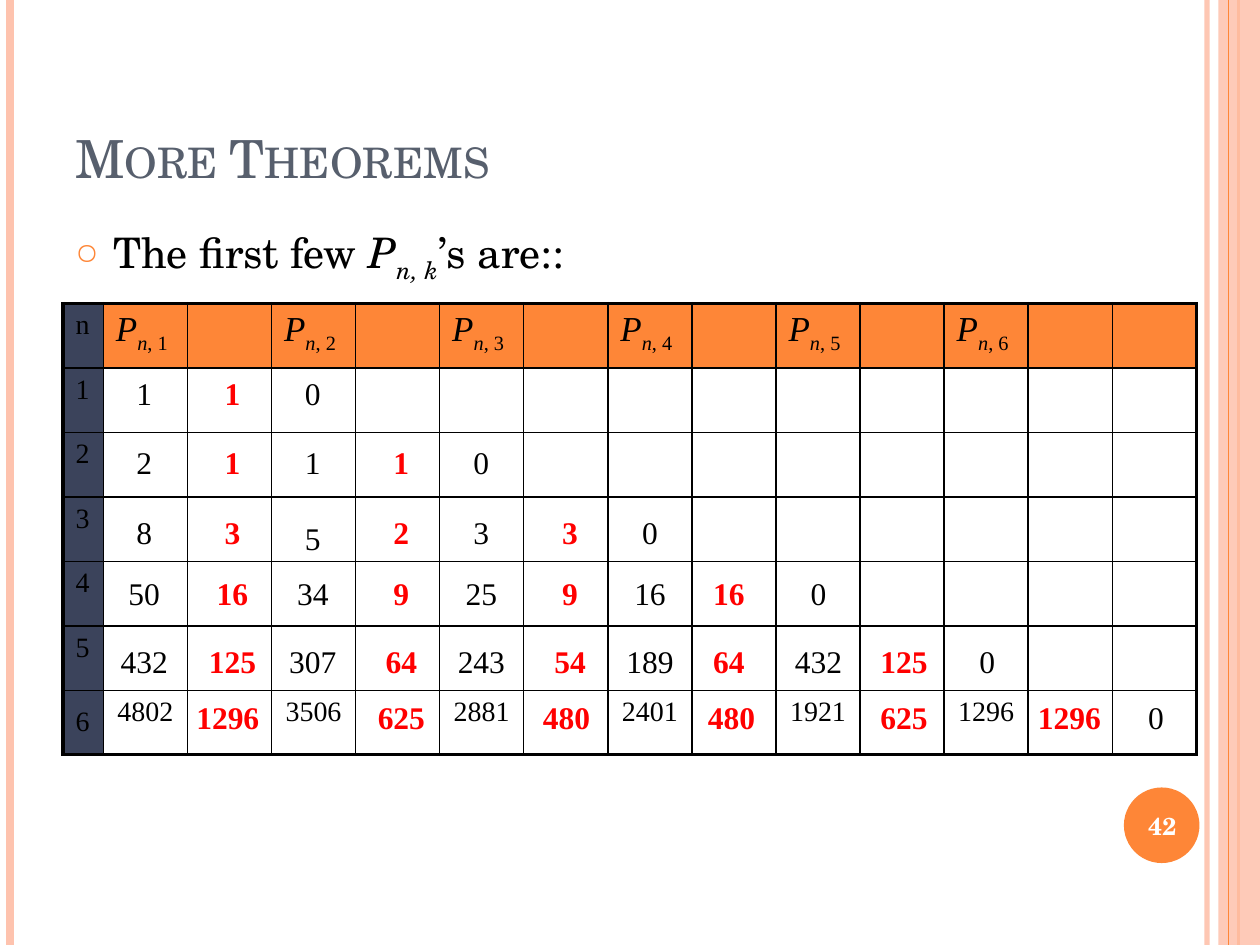
import pptx
import pptx.util
import pptx.dml.color
import pptx.enum.shapes
import pptx.enum.text
import pptx.oxml
import pptx.oxml.ns
from lxml import etree

Inches = pptx.util.Inches
Pt = pptx.util.Pt
qn = pptx.oxml.ns.qn
ALIGN = pptx.enum.text.PP_ALIGN
ANCHOR = pptx.enum.text.MSO_ANCHOR
SHAPE = pptx.enum.shapes.MSO_SHAPE
SERIF = "TeX Gyre Schola"
TIMES = "Times New Roman"
COLORS = {"orange": "FE8637", "peach": "FEC3AE", "slate": "575F6D", "navy": "3B435B",
          "black": "000000", "red": "FF0000", "white": "FFFFFF"}


def paint(fill, color, opacity=100):
    """Make a fill solid, with an optional opacity in percent."""
    fill.solid()
    fill.fore_color.rgb = pptx.dml.color.RGBColor.from_string(COLORS[color])
    if opacity < 100:
        tint = fill._xPr.find(qn("a:solidFill"))[0]
        etree.SubElement(tint, qn("a:alpha"), val=str(opacity * 1000))


def write(frame, text, size=18, font=TIMES, color="black", bold=False, align=ALIGN.LEFT,
          anchor=ANCHOR.TOP, before=0, caps=False):
    """Write text, or (text, italic, subscript) spans, and return the paragraph properties."""
    frame.word_wrap = True
    frame.vertical_anchor = anchor
    para = frame.paragraphs[0]
    para.alignment = align
    for words, italic, subscript in [(text, False, False)] if isinstance(text, str) else text:
        span = para.add_run()
        span.text = words
        span.font.size = Pt(size)
        span.font.name = font
        span.font.bold = bold
        span.font.italic = italic
        paint(span.font.fill, color)
        if subscript:
            span._r.get_or_add_rPr().set("baseline", "-25000")
        if caps:
            span._r.get_or_add_rPr().set("cap", "small")
    properties = para._p.get_or_add_pPr()
    if before:
        spacing = etree.SubElement(properties, qn("a:spcBef"))
        etree.SubElement(spacing, qn("a:spcPct"), val=str(before * 1000))
    return properties


deck = pptx.Presentation()
deck.slide_width, deck.slide_height = Inches(10), Inches(7.5)
page = deck.slides.add_slide(deck.slide_layouts[6])
shapes = page.shapes

# Side bands and the page number disc
for x, color, width, opacity in [(9.58, "peach", 3, 93), (0.08, "peach", 4.5, 100),
                                 (9.83, "orange", 1.5, 100), (9.67, "peach", 0, 87),
                                 (9.75, "orange", 0.75, 100)]:
    if width:
        rule = shapes.add_connector(pptx.enum.shapes.MSO_CONNECTOR.STRAIGHT,
                                    Inches(x), 0, Inches(x), Inches(7.5))
        rule.line.width = Pt(width)
        paint(rule.line.fill, color, opacity)
        etree.SubElement(rule._element.spPr, qn("a:effectLst"))
    else:
        band = shapes.add_shape(SHAPE.RECTANGLE, Inches(x), 0, Inches(0.33), Inches(7.5))
        band.shadow.inherit = False
        band.line.fill.background()
        paint(band.fill, color, opacity)
disc = shapes.add_shape(SHAPE.OVAL, Inches(8.92), Inches(6.25), Inches(0.6), Inches(0.6))
disc.shadow.inherit = False
disc.line.fill.background()
paint(disc.fill, "orange")

# Title, bullet and page number
title = shapes.add_textbox(Inches(0.5), Inches(0.3), Inches(8.17), Inches(1.25))
write(title.text_frame, "More Theorems", size=30, font=SERIF, color="slate",
      anchor=ANCHOR.BOTTOM, caps=True)
body = shapes.add_textbox(Inches(0.5), Inches(1.75), Inches(8.17), Inches(5.33))
bullet = write(body.text_frame, [("The first few ", False, False), ("P", True, False),
                                 ("n, k", True, True), ("\u2019s are::", False, False)],
               size=24, font=SERIF)
body.text_frame.paragraphs[0].space_before = Pt(6)
bullet.set("marL", str(Inches(0.3)))
bullet.set("indent", str(Inches(-0.3)))
etree.SubElement(etree.SubElement(bullet, qn("a:buClr")), qn("a:srgbClr"), val=COLORS["orange"])
etree.SubElement(bullet, qn("a:buSzPct"), val="70000")
etree.SubElement(bullet, qn("a:buChar"), char="\u25cb")
number = shapes.add_textbox(Inches(8.89), Inches(6.27), Inches(0.67), Inches(0.57))
write(number.text_frame, "42", size=14, font=SERIF, color="white", bold=True,
      align=ALIGN.CENTER, anchor=ANCHOR.MIDDLE)

# Table grid with headings, row numbers and the last row of counts
ROWS, COLUMNS = 7, 14
COUNTS = ["4802", "3506", "2881", "2401", "1921", "1296"]
table = shapes.add_table(ROWS, COLUMNS, Inches(0.5), Inches(2.41), Inches(9), Inches(3.58)).table
table.first_row = table.horz_banding = False
for c, column in enumerate(table.columns):
    column.width = Inches(8.68 / 13 if c else 0.32)
for r, row in enumerate(table.rows):
    row.height = Inches(3.58 / ROWS)
    for c, cell in enumerate(row.cells):
        if c == 0:
            paint(cell.fill, "navy")
            write(cell.text_frame, str(r) if r else "n", size=16, before=20)
        elif r == 0:
            paint(cell.fill, "orange")
        else:
            cell.fill.background()
        if c % 2 and c < 12:
            k = c // 2
            if r == 0:
                write(cell.text_frame, [("P", True, False), ("n", True, True),
                                        (f", {k + 1}", False, True)], size=20, before=20)
            elif r == ROWS - 1:
                write(cell.text_frame, COUNTS[k], size=16, align=ALIGN.CENTER)
        cell.vertical_anchor = ANCHOR.MIDDLE if (r, c) == (ROWS - 1, 0) else ANCHOR.TOP
        outer = {"L": c == 0, "R": c == COLUMNS - 1, "T": r == 0, "B": r == ROWS - 1}
        for place, (side, thick) in enumerate(outer.items()):
            edge = etree.Element(qn(f"a:ln{side}"), w=str(Pt(2.25 if thick else 1)))
            solid = etree.SubElement(edge, qn("a:solidFill"))
            etree.SubElement(solid, qn("a:srgbClr"), val=COLORS["black"])
            cell._tc.get_or_add_tcPr().insert(place, edge)

# Loose values over the grid: black counts alternate with red differences
RED_LEFTS = [1.53, 2.87, 4.21, 5.47, 6.86]
VALUES = [(2.92, "1 1 0"), (3.47, "2 1 1 1 0"), (4.02, "8 3 5 2 3 3 0"),
          (4.51, "50 16 34 9 25 9 16 16 0"), (5.05, "432 125 307 64 243 54 189 64 432 125 0")]
for top, values in VALUES:
    for index, value in enumerate(values.split()):
        k, red = divmod(index, 2)
        left = RED_LEFTS[k] if red else 0.83 + 1.338 * k
        drop = 0.05 if value == "5" else 0
        box = shapes.add_textbox(Inches(left), Inches(top + drop), Inches(0.63), Inches(0.4))
        write(box.text_frame, value, color="red" if red else "black", bold=bool(red),
              align=ALIGN.CENTER, before=50)
zero = shapes.add_textbox(Inches(8.86), Inches(5.49), Inches(0.63), Inches(0.4))
write(zero.text_frame, "0", align=ALIGN.CENTER, before=50)
differences = shapes.add_textbox(Inches(1.46), Inches(5.49), Inches(7.4), Inches(0.4))
tabbed = write(differences.text_frame, "1296\t625\t480\t480\t625\t1296", color="red",
               bold=True, before=50)
stops = etree.SubElement(tabbed, qn("a:tabLst"))
for stop in [1.44, 2.75, 4.06, 5.43, 6.68]:
    etree.SubElement(stops, qn("a:tab"), pos=str(Inches(stop)), algn="l")

deck.save("out.pptx")
